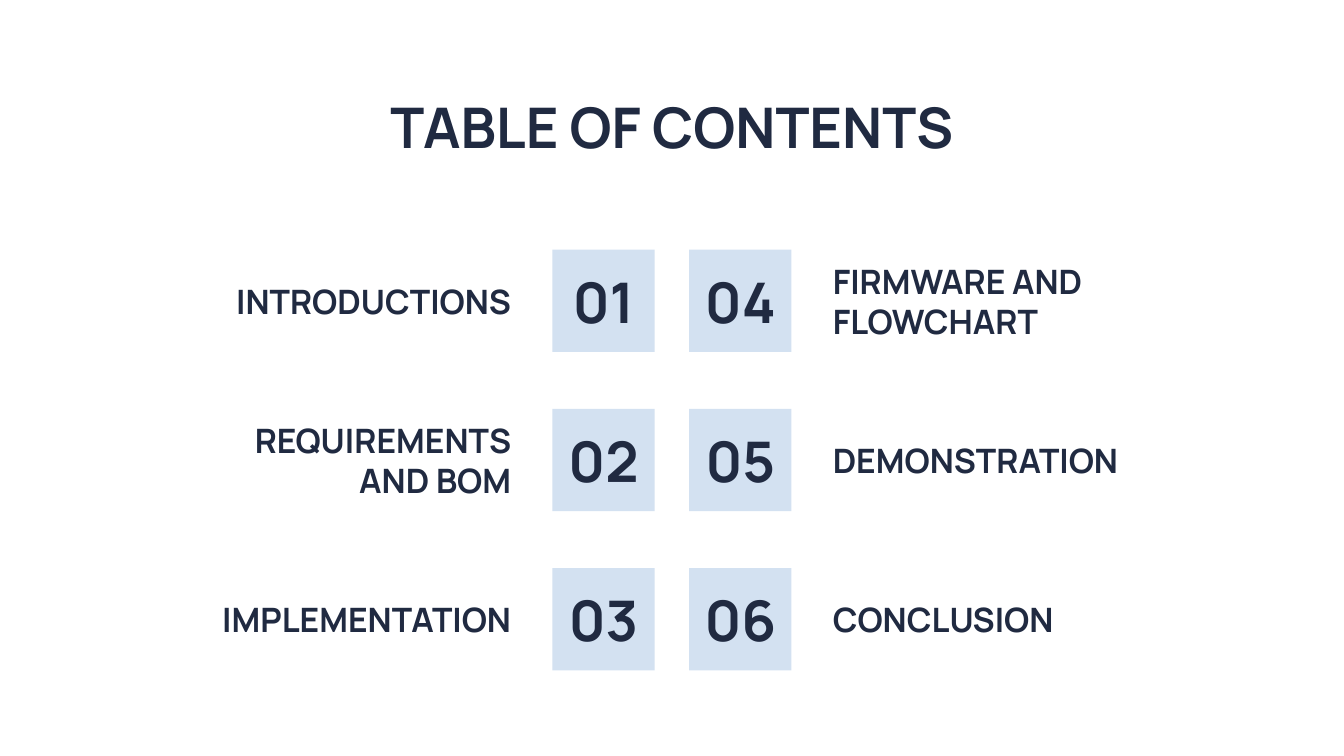
from pptx import Presentation
from pptx.dml.color import RGBColor
from pptx.enum.shapes import MSO_SHAPE as Shape
from pptx.enum.text import MSO_ANCHOR as Anchor, PP_ALIGN as Align
from pptx.util import Pt

TITLE = "TABLE OF CONTENTS"
COLUMNS = [
    ["INTRODUCTIONS", "REQUIREMENTS AND BOM", "IMPLEMENTATION"],
    ["FIRMWARE AND FLOWCHART", "DEMONSTRATION", "CONCLUSION"],
]

THEME = {
    "font": "Manrope",
    "ink": RGBColor(0x20, 0x2A, 0x41),
    "tile": RGBColor(0xD3, 0xE1, 0xF1),
    "paper": RGBColor(0xFF, 0xFF, 0xFF),
    "large": Pt(30),
    "label": Pt(18),
}

WIDTH, HEIGHT = 720, 405
TITLE_BOX = (56.7, 42.5, 606.6, 45.4)
TILE = 54.8
TILE_GAP = 18.5
LABEL_WIDTH = 180
LABEL_GAP = 15
FIRST_ROW = 133.8
ROW_STEP = 85.3
INSET = 7.2


def set_all(target, values):
    for name, value in values.items():
        setattr(target, name, value)


def write(shape, text, size, alignment, anchor=Anchor.MIDDLE):
    frame = shape.text_frame
    margins = {f"margin_{side}": Pt(INSET) for side in ("left", "top", "right", "bottom")}
    set_all(frame, {"word_wrap": True, "vertical_anchor": anchor, **margins})
    paragraph = frame.paragraphs[0]
    paragraph.alignment = alignment
    run = paragraph.add_run()
    run.text = text
    set_all(run.font, {"name": THEME["font"], "size": size, "bold": True})
    run.font.color.rgb = THEME["ink"]


def add_text(slide, box, *text_format):
    shape = slide.shapes.add_textbox(*map(Pt, box))
    write(shape, *text_format)


def add_tile(slide, left, top, number):
    shape = slide.shapes.add_shape(Shape.RECTANGLE, *map(Pt, (left, top, TILE, TILE)))
    shape.shadow.inherit = False
    shape.fill.solid()
    shape.fill.fore_color.rgb = THEME["tile"]
    shape.line.fill.background()
    write(shape, f"{number:02}", THEME["large"], Align.CENTER)


def main():
    presentation = Presentation()
    set_all(presentation, {"slide_width": Pt(WIDTH), "slide_height": Pt(HEIGHT)})
    slide = presentation.slides.add_slide(presentation.slide_layouts[6])
    slide.background.fill.solid()
    slide.background.fill.fore_color.rgb = THEME["paper"]
    add_text(slide, TITLE_BOX, TITLE, THEME["large"], Align.CENTER, Anchor.TOP)

    left_tile = (WIDTH - TILE_GAP) / 2 - TILE
    right_tile = (WIDTH + TILE_GAP) / 2
    places = [
        (left_tile, left_tile - LABEL_GAP - LABEL_WIDTH, Align.RIGHT),
        (right_tile, right_tile + TILE + LABEL_GAP, Align.LEFT),
    ]
    number = 0
    for labels, (tile_left, label_left, alignment) in zip(COLUMNS, places):
        for row, label in enumerate(labels):
            number += 1
            top = FIRST_ROW + row * ROW_STEP
            add_tile(slide, tile_left, top, number)
            add_text(slide, (label_left, top, LABEL_WIDTH, TILE), label, THEME["label"], alignment)

    presentation.save("out.pptx")


if __name__ == "__main__":
    main()
